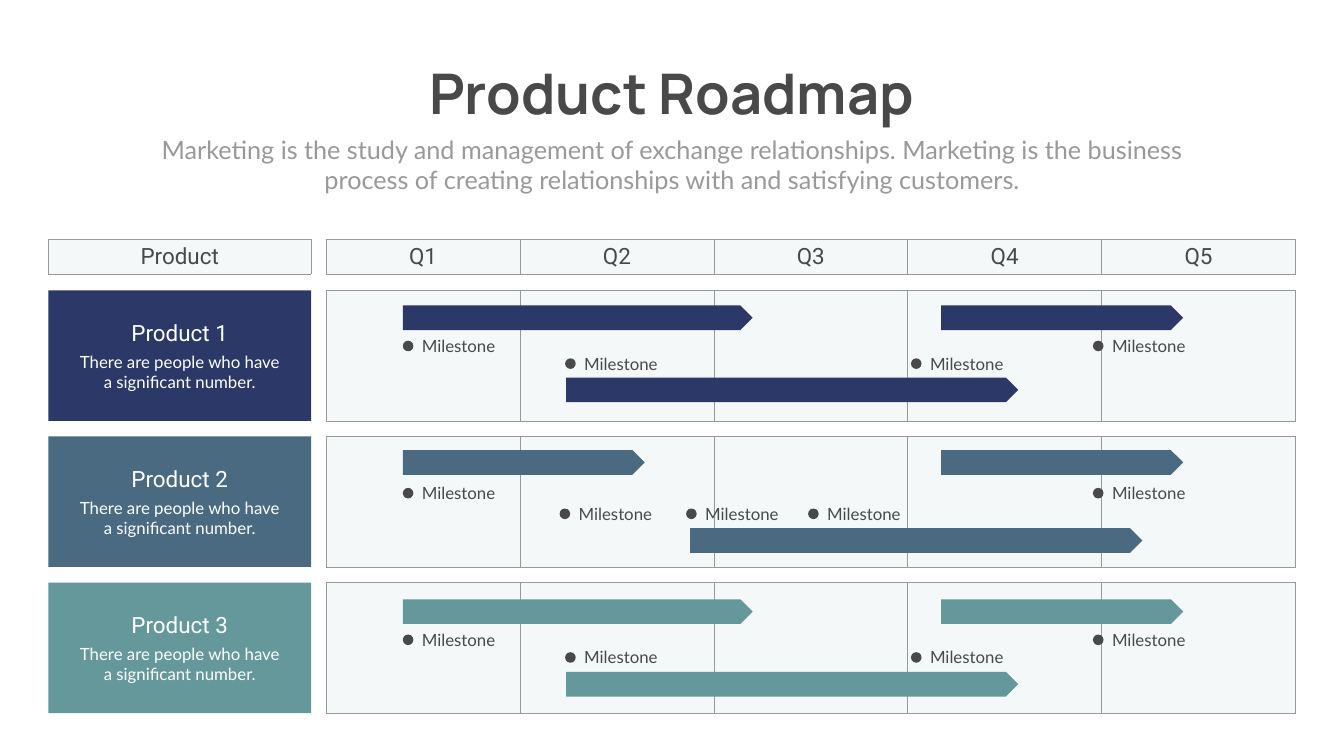
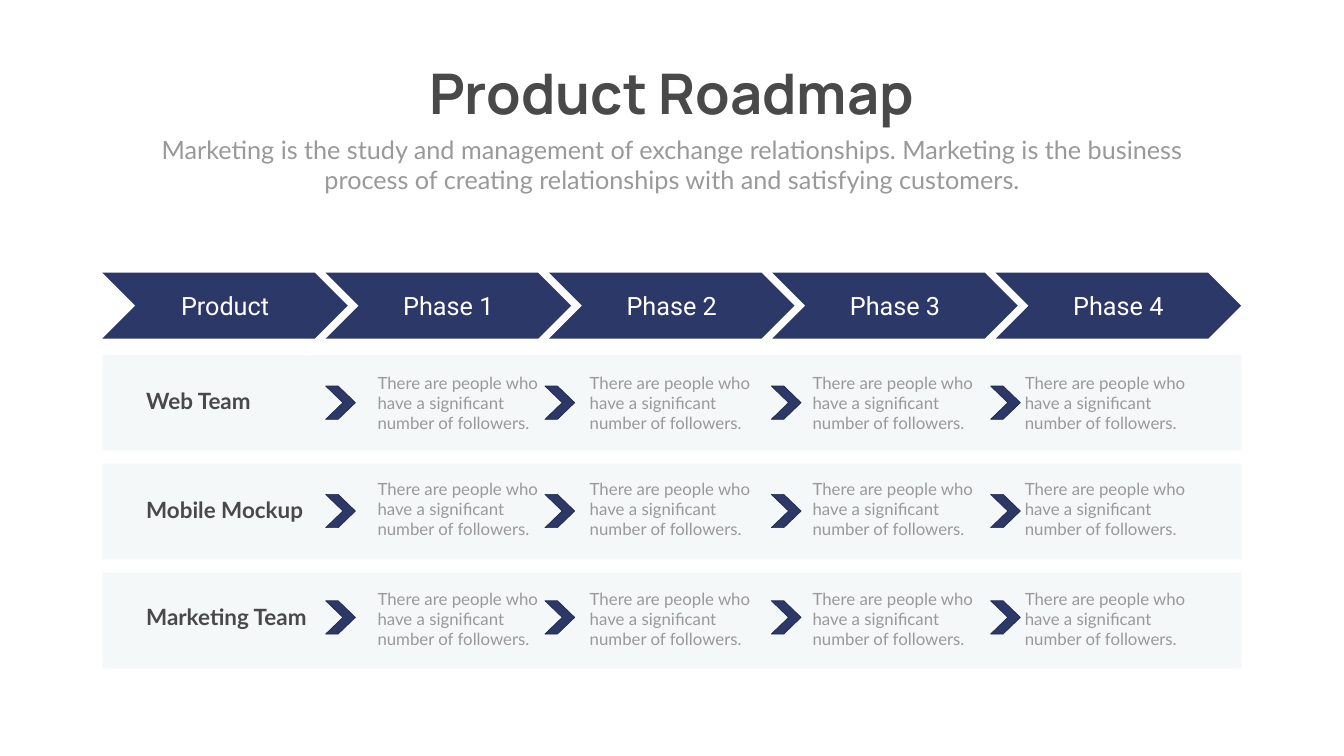
from dataclasses import dataclass

from lxml.etree import SubElement
from pptx import Presentation
from pptx.dml.color import RGBColor
from pptx.enum.shapes import MSO_SHAPE as Shape
from pptx.enum.text import MSO_ANCHOR as Anchor, MSO_AUTO_SIZE as AutoSize, PP_ALIGN as Align
from pptx.oxml.ns import qn
from pptx.util import Inches, Pt


@dataclass(frozen=True)
class Theme:
    ink: str = "494949"
    grey: str = "999999"
    pale: str = "F5F8F9"
    white: str = "FFFFFF"
    navy: str = "2C3867"
    navy_edge: str = "21294C"
    slate: str = "496A80"
    teal: str = "65989B"
    title_font: str = "Manrope"
    head_font: str = "Roboto"
    body_font: str = "Lato"
    title_size: int = 80
    lead_size: int = 36
    head_size: int = 32
    body_size: int = 24


THEME = Theme()

TITLE = "Product Roadmap"
LEAD = ("Marketing is the study and management of exchange relationships. "
        "Marketing is the business process of creating relationships with "
        "and satisfying customers.")

# Bars are (left, width); the y values are measured from the top of the row.
QUARTERS = ["Q1", "Q2", "Q3", "Q4", "Q5"]
PRODUCT_NOTE = "There are people who have a significant number."
MILESTONE = "Milestone"
PRODUCTS = [
    {"name": "Product 1", "color": THEME.navy,
     "bars": [(0.30, [(7.99, 6.94), (18.67, 4.8)]), (1.73, [(11.23, 8.97)])],
     "milestones": [(1.0, [7.99, 21.68]), (1.35, [11.21, 18.07])]},
    {"name": "Product 2", "color": THEME.slate,
     "bars": [(0.27, [(7.99, 4.8), (18.67, 4.8)]), (1.82, [(13.69, 8.97)])],
     "milestones": [(1.02, [7.99, 21.68]), (1.43, [11.1, 13.61, 16.03])]},
    {"name": "Product 3", "color": THEME.teal,
     "bars": [(0.33, [(7.99, 6.94), (18.67, 4.8)]), (1.77, [(11.23, 8.97)])],
     "milestones": [(1.03, [7.99, 21.68]), (1.38, [11.21, 18.07])]},
]

PHASES = ["Product", "Phase 1", "Phase 2", "Phase 3", "Phase 4"]
STEP_NOTE = "There are people who have a significant number of followers."
# Team, then the tops of its name, arrows and notes
TEAMS = [
    ("Web Team", 7.63, 7.66, 7.34),
    ("Mobile Mockup", 9.79, 9.81, 9.44),
    ("Marketing Team", 11.91, 11.92, 11.63),
]
# Left edges of the arrow and the note of each step
STEPS = [(6.46, 7.39), (10.81, 11.6), (15.3, 16.02), (19.65, 20.23)]


def rgb(color):
    return RGBColor.from_string(color)


def inches(*lengths):
    return [Inches(length) for length in lengths]


def write(frame, text, font, size, color, align=Align.LEFT, bold=False):
    frame.text = text
    paragraph = frame.paragraphs[0]
    paragraph.alignment = align
    style = paragraph.runs[0].font
    style.name, style.size, style.bold = font, Pt(size), bold
    style.color.rgb = rgb(color)


def add_text(shapes, box, text, font, size, color, wrap=True, **look):
    frame = shapes.add_textbox(*inches(*box)).text_frame
    frame.word_wrap = wrap
    frame.auto_size = AutoSize.SHAPE_TO_FIT_TEXT
    write(frame, text, font, size, color, **look)


def add_block(shapes, kind, box, color, point=None, edge=None):
    """Add a flat preset shape; point sets its first adjustment."""
    block = shapes.add_shape(kind, *inches(*box))
    block.shadow.inherit = False
    block.fill.solid()
    block.fill.fore_color.rgb = rgb(color)
    if point is not None:
        block.adjustments[0] = point
    if edge:
        block.line.color.rgb = rgb(edge)
        block.line.width = Pt(1)
    else:
        block.line.fill.background()
    return block


def add_borders(cell, color):
    properties = cell._tc.get_or_add_tcPr()
    for side in ("a:lnL", "a:lnR", "a:lnT", "a:lnB"):
        line = SubElement(properties, qn(side), w=str(Pt(1)))
        fill = SubElement(line, qn("a:solidFill"))
        SubElement(fill, qn("a:srgbClr"), val=color)


def add_strip(shapes, box, labels):
    """Add a one-row table of equal columns."""
    table = shapes.add_table(1, len(labels), *inches(*box)).table
    table.first_row = table.horz_banding = False
    for cell, label in zip(table.rows[0].cells, labels):
        add_borders(cell, THEME.grey)
        cell.fill.solid()
        cell.fill.fore_color.rgb = rgb(THEME.pale)
        cell.vertical_anchor = Anchor.MIDDLE
        if label:
            write(cell.text_frame, label, THEME.head_font, THEME.head_size,
                  THEME.ink, Align.CENTER)


def add_headed_slide(deck):
    slide = deck.slides.add_slide(deck.slide_layouts[6])
    heading = slide.shapes.add_group_shape().shapes
    add_text(heading, (7.99, 1.12, 10.67, 1.45), TITLE, THEME.title_font,
             THEME.title_size, THEME.ink, wrap=False, align=Align.CENTER, bold=True)
    add_text(heading, (2.92, 2.61, 20.82, 1.31), LEAD, THEME.body_font,
             THEME.lead_size, THEME.grey, align=Align.CENTER)
    return slide.shapes


def add_card(shapes, left, top, width, height, product):
    card = shapes.add_group_shape().shapes
    add_block(card, Shape.RECTANGLE, (left, top, width, height), product["color"])
    add_text(card, (left + 0.48, top + 1.16, width - 0.96, 0.91), PRODUCT_NOTE,
             THEME.body_font, THEME.body_size, THEME.white, align=Align.CENTER)
    add_text(card, (left, top + 0.52, width, 0.64), product["name"],
             THEME.head_font, THEME.head_size, THEME.white, align=Align.CENTER)


def add_milestone(shapes, left, top):
    milestone = shapes.add_group_shape().shapes
    add_text(milestone, (left + 0.28, top - 0.15, 1.67, 0.5), MILESTONE,
             THEME.body_font, THEME.body_size, THEME.ink, wrap=False)
    add_block(milestone, Shape.OVAL, (left, top, 0.21, 0.21), THEME.ink)


def build_timeline(deck):
    shapes = add_headed_slide(deck)
    card_left, card_width = 0.96, 5.21
    grid_left, grid_width = 6.47, 19.23
    head_top, head_height = 4.75, 0.69
    first_row, row_pitch, row_height = 5.76, 2.9, 2.59

    add_strip(shapes, (card_left, head_top, card_width, head_height), ["Product"])
    add_strip(shapes, (grid_left, head_top, grid_width, head_height), QUARTERS)
    for index, product in enumerate(PRODUCTS):
        top = first_row + index * row_pitch
        add_strip(shapes, (grid_left, top, grid_width, row_height), [""] * len(QUARTERS))
        add_card(shapes, card_left, top, card_width, row_height, product)
        for offset, bars in product["bars"]:
            for left, width in bars:
                add_block(shapes, Shape.PENTAGON, (left, top + offset, width, 0.49),
                          product["color"])
        for offset, lefts in product["milestones"]:
            for left in lefts:
                add_milestone(shapes, left, top + offset)


def build_phases(deck):
    shapes = add_headed_slide(deck)
    left, phase_pitch = 2.03, 4.43
    first_band, band_pitch = 7.04, 2.16

    for index, phase in enumerate(PHASES):
        chevron = add_block(shapes, Shape.CHEVRON,
                            (left + index * phase_pitch, 5.41, 4.87, 1.31), THEME.navy)
        chevron.text_frame.vertical_anchor = Anchor.MIDDLE
        write(chevron.text_frame, phase, THEME.head_font, THEME.lead_size,
              THEME.white, Align.CENTER)

    bands = shapes.add_group_shape().shapes
    for index, (team, name_top, arrow_top, note_top) in enumerate(TEAMS):
        add_block(bands, Shape.CHEVRON,
                  (left, first_band + index * band_pitch, 22.6, 1.9), THEME.pale, point=0)
        for arrow_left, note_left in STEPS:
            add_block(shapes, Shape.CHEVRON, (arrow_left, arrow_top, 0.59, 0.66),
                      THEME.navy, point=0.58, edge=THEME.navy_edge)
            add_text(shapes, (note_left, note_top, 3.66, 1.31), STEP_NOTE,
                     THEME.body_font, THEME.body_size, THEME.grey)
        add_text(shapes, (2.8, name_top, 3.68, 0.64), team, THEME.body_font,
                 THEME.head_size, THEME.ink, bold=True)


def main():
    deck = Presentation()
    deck.slide_width, deck.slide_height = inches(26.66, 15)
    build_timeline(deck)
    build_phases(deck)
    deck.save("out.pptx")


if __name__ == "__main__":
    main()
